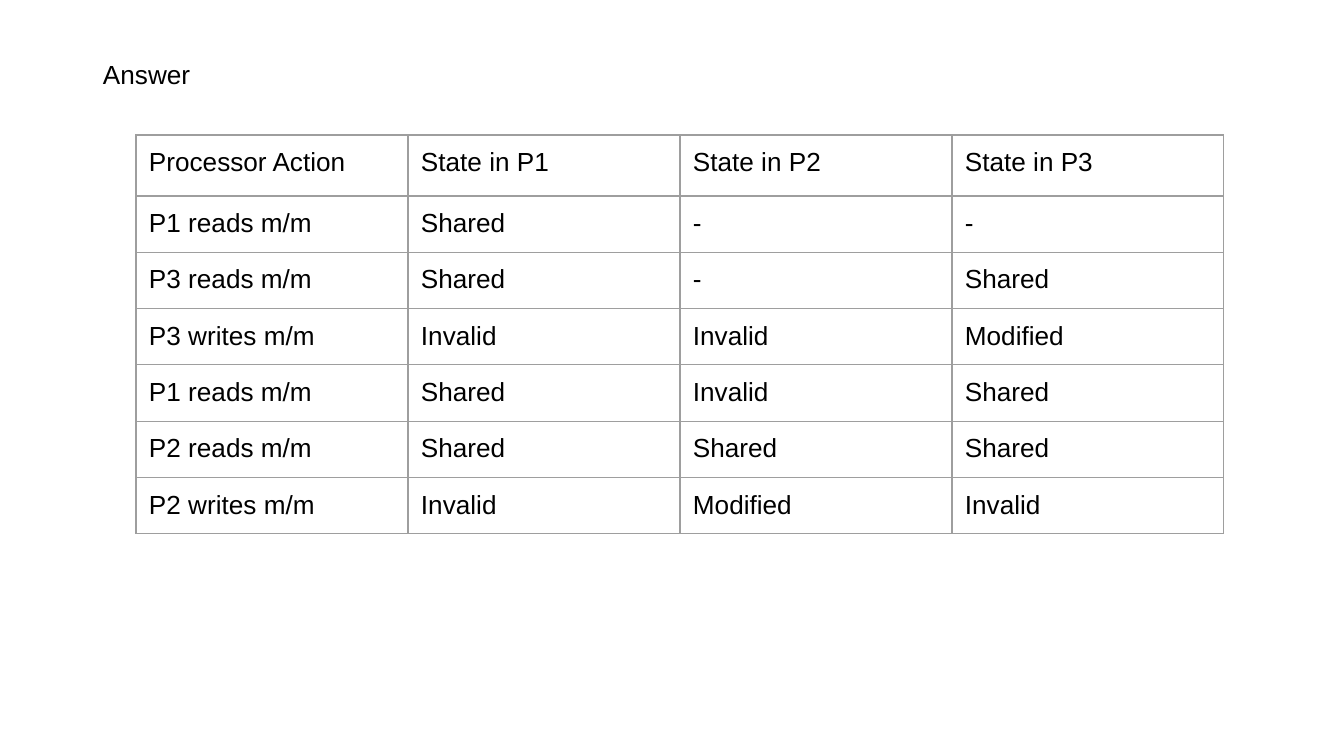
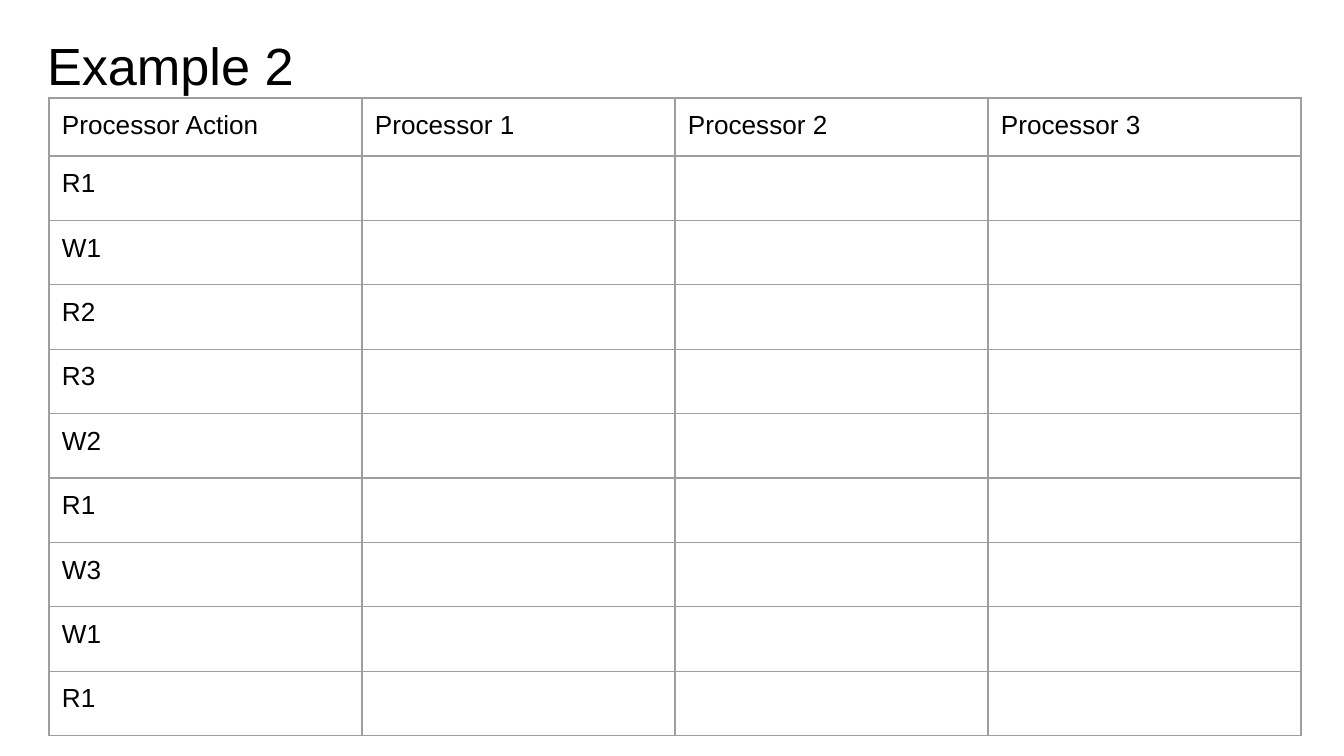
"""Build two slides on cache coherence states: an answer table and a blank exercise."""
from lxml.etree import SubElement
from pptx import Presentation
from pptx.dml.color import RGBColor
from pptx.enum.text import MSO_ANCHOR, MSO_AUTO_SIZE, PP_ALIGN
from pptx.oxml.ns import qn
from pptx.util import Pt

EMU_PER_PX = 914400 / 134.4
COLORS = {"text": "000000", "border": "9E9E9E"}
FONT = "Arial"
INSET = round(13 * EMU_PER_PX)


def write_text(frame, text, size):
    frame.word_wrap = True
    paragraph = frame.paragraphs[0]
    paragraph.alignment = PP_ALIGN.LEFT
    run = paragraph.add_run()
    run.text = text
    run.font.name = FONT
    run.font.size = Pt(size)
    run.font.color.rgb = RGBColor.from_string(COLORS["text"])


def add_grid(slide, box, header_height, rows):
    left, top, width, height = [round(value * EMU_PER_PX) for value in box]
    columns = len(rows[0])
    table = slide.shapes.add_table(len(rows), columns, left, top, width, height).table
    table.first_row = False
    table.horz_banding = False
    for column in table.columns:
        column.width = width // columns
    header = round(header_height * EMU_PER_PX)
    for index, values in enumerate(rows):
        table.rows[index].height = header if index == 0 else (height - header) // (len(rows) - 1)
        for column_index in range(columns):
            cell = table.cell(index, column_index)
            if column_index < len(values):
                cell.margin_left = cell.margin_right = INSET
                cell.margin_top = cell.margin_bottom = INSET
                write_text(cell.text_frame, values[column_index], 14)
            properties = cell._tc.get_or_add_tcPr()
            for side in ("a:lnL", "a:lnR", "a:lnT", "a:lnB"):
                line = SubElement(properties, qn(side), w=str(Pt(0.75)))
                fill = SubElement(line, qn("a:solidFill"))
                SubElement(fill, qn("a:srgbClr"), val=COLORS["border"])
            cell.fill.background()


presentation = Presentation()
presentation.slide_width = round(1344 * EMU_PER_PX)
presentation.slide_height = round(756 * EMU_PER_PX)

answer_slide = presentation.slides.add_slide(presentation.slide_layouts[6])
states = [
    ("Processor Action", "State in P1", "State in P2", "State in P3"),
    ("P1 reads m/m", "Shared", "-", "-"),
    ("P3 reads m/m", "Shared", "-", "Shared"),
    ("P3 writes m/m", "Invalid", "Invalid", "Modified"),
    ("P1 reads m/m", "Shared", "Invalid", "Shared"),
    ("P2 reads m/m", "Shared", "Shared", "Shared"),
    ("P2 writes m/m", "Invalid", "Modified", "Invalid"),
]
add_grid(answer_slide, (136, 135, 1088, 399), 61, states)
answer = answer_slide.shapes.add_textbox(0, 0, 0, 0)

exercise_slide = presentation.slides.add_slide(presentation.slide_layouts[5])
title = exercise_slide.shapes.title

labels = [
    (answer, "Answer", 14, (90, 43, 378, 48), 15),
    (title, "Example 2", 28, (34, 13, 1253, 85), 20),
]
for shape, text, size, box, top_inset in labels:
    shape.left, shape.top, shape.width, shape.height = [round(value * EMU_PER_PX) for value in box]
    frame = shape.text_frame
    frame.auto_size = MSO_AUTO_SIZE.NONE
    frame.vertical_anchor = MSO_ANCHOR.TOP
    frame.margin_left = frame.margin_right = INSET
    frame.margin_top = round(top_inset * EMU_PER_PX)
    frame.margin_bottom = 0
    write_text(frame, text, size)

actions = ["R1", "W1", "R2", "R3", "W2", "R1", "W3", "W1", "R1"]
headings = ("Processor Action", "Processor 1", "Processor 2", "Processor 3")
add_grid(exercise_slide, (49, 98, 1252, 638), 58, [headings] + [(action,) for action in actions])

presentation.save("out.pptx")
